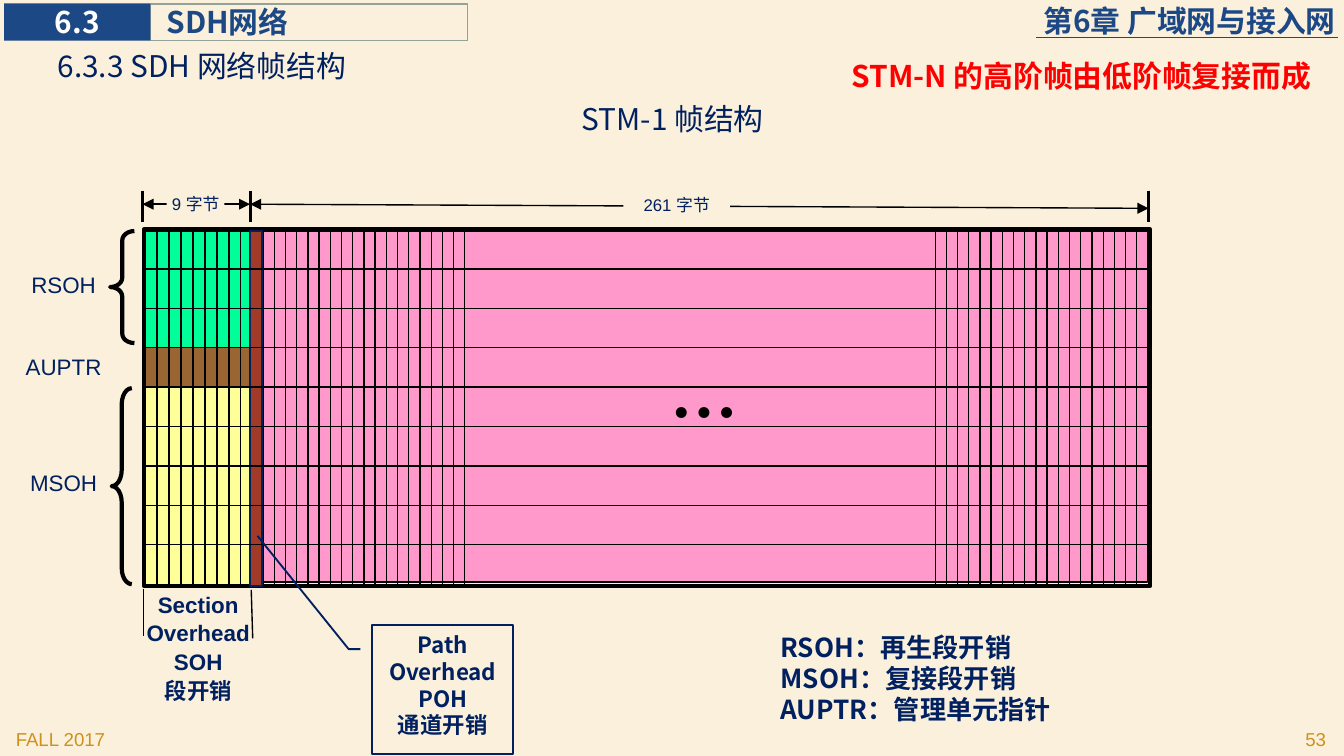
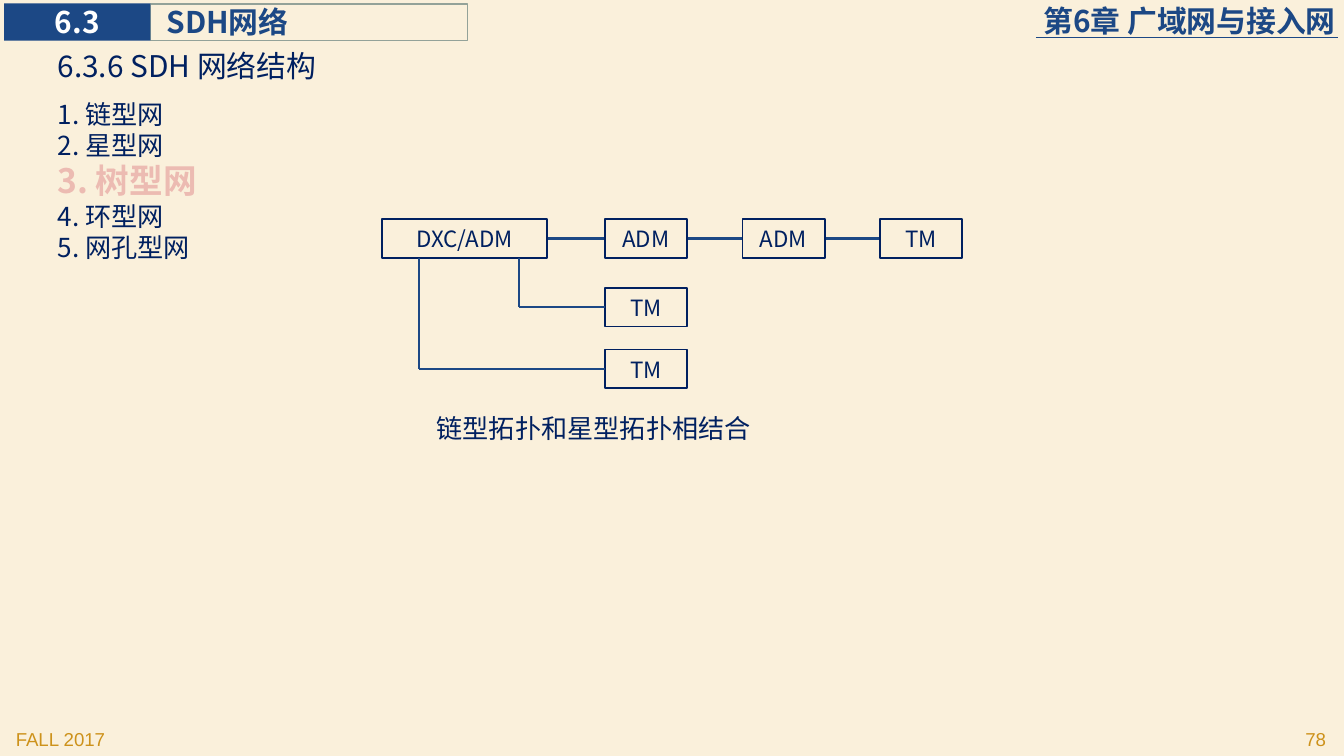
from collections import namedtuple

from lxml import etree
from pptx import Presentation
from pptx.dml.color import RGBColor
from pptx.enum.shapes import MSO_CONNECTOR, MSO_SHAPE
from pptx.enum.text import MSO_ANCHOR, PP_ALIGN
from pptx.oxml.ns import qn
from pptx.util import Pt

RECT = MSO_SHAPE.RECTANGLE
BRACE = MSO_SHAPE.LEFT_BRACE
CALLOUT = MSO_SHAPE.LINE_CALLOUT_2
STRAIGHT = MSO_CONNECTOR.STRAIGHT
LEFT, MID, RIGHT = PP_ALIGN.LEFT, PP_ALIGN.CENTER, PP_ALIGN.RIGHT
TOP, CENTER = MSO_ANCHOR.TOP, MSO_ANCHOR.MIDDLE

CREAM = RGBColor(0xFA, 0xF0, 0xDB)
BLUE = RGBColor(0x1C, 0x48, 0x85)
NAVY = RGBColor(0x00, 0x20, 0x60)
GOLD = RGBColor(0xCD, 0x92, 0x1B)
SAGE = RGBColor(0x93, 0xA2, 0x99)
WHITE = RGBColor(0xFF, 0xFF, 0xFF)
BLACK = RGBColor(0x00, 0x00, 0x00)
RED = RGBColor(0xFF, 0x00, 0x00)
GREEN = RGBColor(0x00, 0xFF, 0x99)
BROWN = RGBColor(0x99, 0x66, 0x33)
PINK = RGBColor(0xFF, 0x99, 0xCC)
YELLOW = RGBColor(0xFF, 0xFF, 0x99)
RUST = RGBColor(0xA2, 0x3A, 0x28)
ROSE = RGBColor(0xEC, 0xBB, 0xB2)
CORAL = RGBColor(0xCF, 0x54, 0x3F)

SANS, ARIAL, TIMES = "Noto Sans CJK SC", "Arial", "Times New Roman"
WIDE, HIGH = 720, 405
PAD = (7.2, 3.6, 7.2, 3.6)
FLAT = (0, 0, 0, 0)

Style = namedtuple("Style", "font size color bold edge", defaults=(False, None))
HEAD = Style(SANS, 16, BLUE, True)
TITLE = Style(SANS, 16, NAVY)
BODY = Style(SANS, 14, NAVY)
NODE = Style(SANS, 12, NAVY)
LABEL = Style(ARIAL, 12, NAVY)
FOOT = Style(ARIAL, 10, GOLD)


# Basic parts

def add_run(para, words, style):
    run = para.add_run()
    run.text = words
    font = run.font
    font.name, font.size, font.bold = style.font, Pt(style.size), style.bold
    font.color.rgb = style.color
    props = run._r.get_or_add_rPr()
    etree.SubElement(props, qn("a:ea")).set("typeface", style.font)
    if style.edge is not None:
        line = etree.Element(qn("a:ln"), w=str(Pt(1.75)))
        fill = etree.SubElement(line, qn("a:solidFill"))
        etree.SubElement(fill, qn("a:srgbClr")).set("val", str(style.edge))
        props.insert(0, line)


def write(shape, paras, align=LEFT, anchor=TOP, pad=PAD, ratio=1.19, wrap=True):
    """Each paragraph is a list of (words, style) runs."""
    frame = shape.text_frame
    frame.word_wrap = wrap
    frame.vertical_anchor = anchor
    (frame.margin_left, frame.margin_top,
     frame.margin_right, frame.margin_bottom) = map(Pt, pad)
    for i, runs in enumerate(paras):
        para = frame.add_paragraph() if i else frame.paragraphs[0]
        para.alignment = align
        para.line_spacing = Pt(round(runs[0][1].size * ratio, 1))
        for words, style in runs:
            add_run(para, words, style)


def text(slide, box, paras, **look):
    write(slide.shapes.add_textbox(*map(Pt, box)), paras, **look)


def shape(slide, box, fill=None, line=None, width=0.75, kind=RECT, adj=()):
    item = slide.shapes.add_shape(kind, *map(Pt, box))
    item.shadow.inherit = False
    if fill is None:
        item.fill.background()
    else:
        item.fill.solid()
        item.fill.fore_color.rgb = fill
    if line is None:
        item.line.fill.background()
    else:
        item.line.color.rgb = line
        item.line.width = Pt(width)
    for i, value in enumerate(adj):
        item.adjustments[i] = value
    return item


def rule(slide, x1, y1, x2, y2, color=BLACK, width=0.75, arrows=False):
    item = slide.shapes.add_connector(STRAIGHT, Pt(x1), Pt(y1), Pt(x2), Pt(y2))
    item.line.color.rgb = color
    item.line.width = Pt(width)
    etree.SubElement(item._element.spPr, qn("a:effectLst"))
    if arrows:
        for end in ("a:headEnd", "a:tailEnd"):
            etree.SubElement(item.line._get_or_add_ln(), qn(end)).set("type", "triangle")


# Shared header, title and footer

def start(deck, title, number):
    slide = deck.slides.add_slide(deck.slide_layouts[6])
    slide.background.fill.solid()
    slide.background.fill.fore_color.rgb = CREAM
    text(slide, (445, 1.4, 270.7, 19.4), [[("第6章 广域网与接入网", HEAD)]],
         align=RIGHT, anchor=CENTER, pad=FLAT)
    rule(slide, 555, 20.2, 717, 20.2, BLUE, 0.5)
    foot = HIGH - 18.4
    text(slide, (1.4, foot, 150, 16.6), [[("FALL 2017", FOOT)]])
    text(slide, (567.4, foot, 150, 16.6), [[(number, FOOT)]], align=RIGHT)
    write(shape(slide, (80.6, 2.2, 170, 19.4), line=SAGE), [[("SDH网络", HEAD)]],
          anchor=CENTER, pad=(8.6, 0, 0, 0))
    write(shape(slide, (2.2, 1.8, 78.4, 20), BLUE),
          [[("6.3", HEAD._replace(color=WHITE))]],
          align=MID, anchor=CENTER, pad=FLAT, wrap=False)
    text(slide, (23.8, 22.3, 367, 26.6), [[(title, TITLE)]])
    return slide


# STM-1 frame

def draw_frame(slide, x, y, w, h):
    row, left, right = 21.1, x + 57, x + w - 1
    # Coloured areas
    shape(slide, (x + 0.8, y + 3 * row, 57, row), BROWN)
    shape(slide, (x - 0.7, y, 58.3, 3 * row), GREEN, BLACK)
    shape(slide, (x + 59, y + 0.8, w - 60.5, 188), PINK, BLACK)
    shape(slide, (x, y + 4 * row, 57, h - 4 * row), YELLOW, BLACK)
    shape(slide, (x, y, w, h), line=BLACK, width=2.25)
    # Byte columns
    soh = [x + 7.2 + 6.4 * i for i in range(8)]
    near = [x + 58 + 6 * i for i in range(20)]
    far = [x + 424 + 6 * i for i in range(19)]
    for col in soh + near + far:
        rule(slide, col, y, col, y + h)
    shape(slide, (left, y + 0.8, 6.5, h - 0.8), RUST, NAVY, 1)
    for i in range(1, 9):
        rule(slide, x - 1, y + i * row, x + w, y + i * row)
    rule(slide, x, y + 4 * row, x, y + 5 * row - 4, width=1.5)
    dots = Style(TIMES, 36, BLACK, True)
    text(slide, (x + 275, y + 59.2, 59, 50.4), [[("…", dots)]], ratio=1.25)
    # Byte counts
    for tick in (x - 0.7, left, right):
        rule(slide, tick, y - 20.8, tick, y - 4.2, width=1.5)
    rule(slide, x - 0.7, y - 13.6, left, y - 13.6, arrows=True)
    rule(slide, left, y - 13.6, right, y - 11.4, arrows=True)
    small = Style(ARIAL, 9, NAVY)
    for count, dx, dy, wide in (("9 ", 12.3, -23, 31), ("261 ", 257, -22.2, 57)):
        write(shape(slide, (x + dx, y + dy, wide, 18), CREAM),
              [[(count, small), ("字节", small._replace(font=SANS))]],
              align=MID, anchor=CENTER, pad=(0, 3.6, 0, 3.6))
    # Row names and braces
    for name, dy in (("RSOH", 20.3), ("AUPTR", 64.2), ("MSOH", 126.1)):
        text(slide, (x - 85, y + dy, 84.2, 18.7), [[(name, LABEL)]],
             align=MID, anchor=CENTER)
    shape(slide, (x - 18, y + 0.8, 13, 60), line=BLACK, width=2.25,
          kind=BRACE, adj=(0.385, 0.5))
    shape(slide, (x - 17.2, y + 85, 10.8, 105), line=BLACK, width=2.25,
          kind=BRACE, adj=(0.795, 0.5))
    # Section overhead
    rule(slide, x, y + 217.6, x, y + 192.4)
    rule(slide, x + 58.4, y + 219, x + 57.6, y + 193)
    bold = LABEL._replace(bold=True)
    paras = [[(line, bold)] for line in ("Section", "Overhead", "SOH")]
    paras.append([("段开销", bold._replace(font=SANS))])
    text(slide, (x - 19.4, y + 188.8, 97.2, 69.8), paras, align=MID, ratio=1.29)
    # Path overhead
    note = shape(slide, (x + 122.4, y + 211.8, 75.6, 69.1), line=NAVY, width=1,
                 kind=CALLOUT, adj=(0.188, -0.083, 0.188, -0.167, -0.69, -0.813))
    bold = NODE._replace(bold=True)
    write(note, [[(line, bold)] for line in ("Path", "Overhead", "POH", "通道开销")],
          align=MID)


def frame_slide(deck):
    slide = start(deck, "6.3.3 SDH 网络帧结构", "53")
    text(slide, (449.3, 27.4, 270, 26.6),
         [[("STM-N 的高阶帧由低阶帧复接而成", TITLE._replace(color=RED, bold=True))]])
    text(slide, (189.4, 50.4, 342, 26.6), [[("STM-1 帧结构", TITLE)]], align=MID)
    draw_frame(slide, 77, 123, 539.3, 190.8)
    bold = BODY._replace(bold=True)
    terms = ("RSOH：再生段开销", "MSOH：复接段开销", "AUPTR：管理单元指针")
    text(slide, (411, 334.8, 226.8, 58.3), [[(term, bold)] for term in terms])


# Tree network

def draw_tree(slide, x, y, w, h):
    hub, wide, tall, step = 88.6, 44, 20.9, 73.8
    first, last = x + 119.5, x + w - wide
    mid = tall / 2
    rule(slide, x + 68, y + mid, last, y + mid, BLUE, 1.25)
    # Nodes
    low = h - tall
    nodes = [("DXC/ADM", x, y, hub), ("ADM", first, y, wide),
             ("ADM", first + step, y, wide), ("TM", last, y, wide),
             ("TM", first, y + 36.7, wide), ("TM", first, y + low, wide)]
    for name, left, top, size in nodes:
        write(shape(slide, (left, top, size, tall), CREAM, NAVY, 1),
              [[(name, NODE)]], align=MID)
    # Branches
    for dx, dy in ((73.4, 36.7), (20.1, low)):
        bend = y + dy + mid
        rule(slide, x + dx, y + tall, x + dx, bend, BLUE, 1.25)
        rule(slide, x + dx, bend, first, bend, BLUE, 1.25)


def tree_slide(deck):
    slide = start(deck, "6.3.6 SDH 网络结构", "78")
    bright = Style(SANS, 18, ROSE, True, CORAL)
    items = ("链型网", "星型网", "树型网", "环型网", "网孔型网")
    paras = [[(f"{i}. {item}", bright if i == 3 else BODY)]
             for i, item in enumerate(items, 1)]
    text(slide, (23.8, 49, 144, 97.2), paras)
    draw_tree(slide, 204.5, 117.4, 311, 90.7)
    text(slide, (226.8, 217.4, 286.6, 24.5), [[("链型拓扑和星型拓扑相结合", BODY)]])


def main():
    deck = Presentation()
    deck.slide_width, deck.slide_height = Pt(WIDE), Pt(HIGH)
    frame_slide(deck)
    tree_slide(deck)
    deck.save("out.pptx")


if __name__ == "__main__":
    main()
